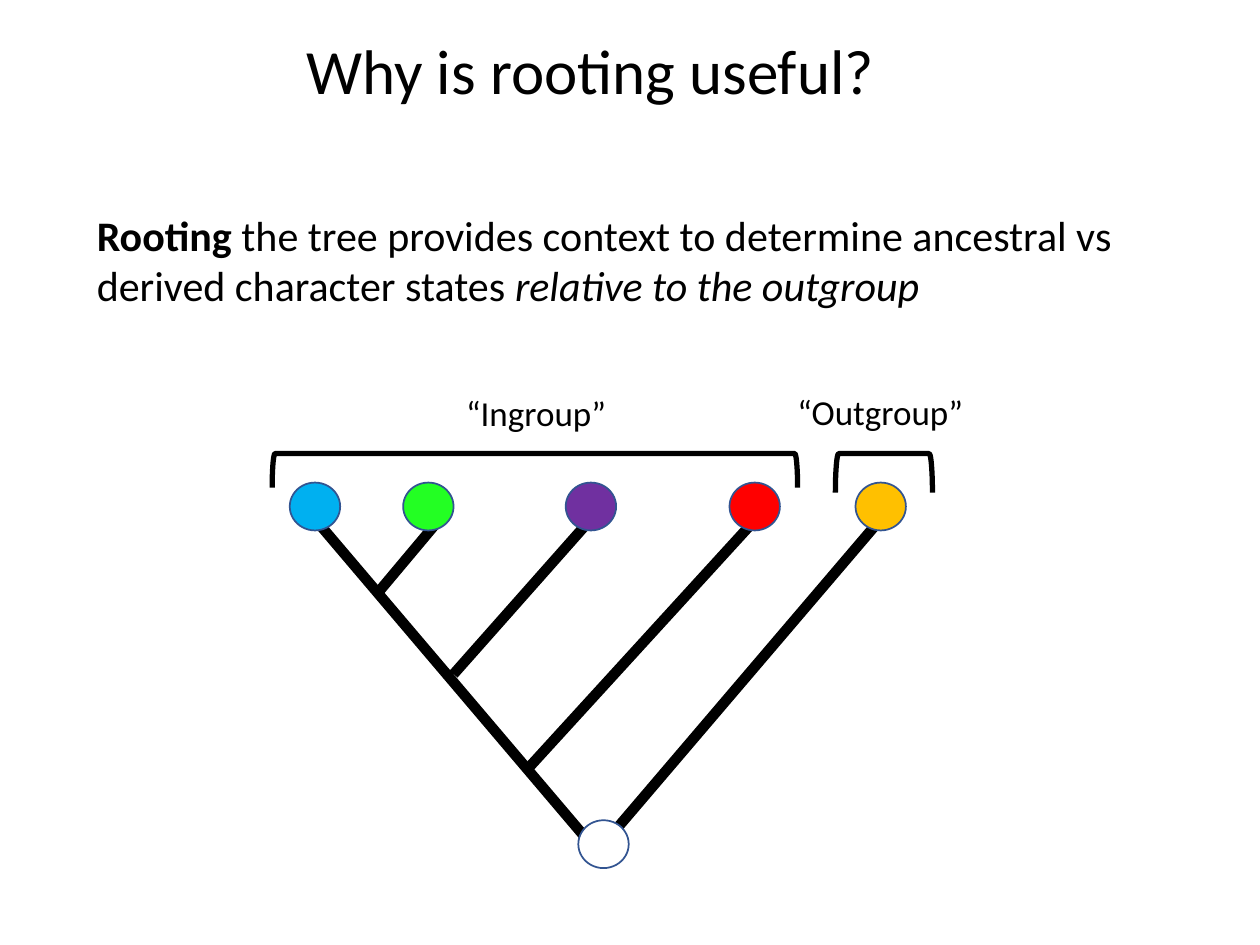
"""Builds a slide that explains rooting with a five-tip tree."""
from lxml.etree import SubElement
from pptx import Presentation
from pptx.dml.color import RGBColor
from pptx.enum.shapes import MSO_CONNECTOR, MSO_SHAPE
from pptx.enum.text import MSO_ANCHOR, PP_ALIGN
from pptx.oxml.ns import qn
from pptx.util import Inches, Pt

COLORS = {
    "ink": "000000", "outline": "325491", "root": "FFFFFF", "blue": "00B0F0",
    "green": "23FF23", "purple": "7030A0", "red": "FF0000", "amber": "FFC000",
}
TITLE = "Why is rooting useful?"
STATEMENT = [
    ("Rooting ", {"bold": True}),
    ("the tree provides context to determine ancestral vs derived character states ", {}),
    ("relative to the outgroup", {"italic": True}),
]
TIP_Y, BRANCH_Y = 4.02, 4.12
ROOT = (4.79, 6.7)
TIPS = [("blue", 2.5), ("green", 3.4), ("purple", 4.69), ("red", 5.99), ("amber", 6.99)]
BRANCHES = [
    ((4.73, 6.77), (6.99, BRANCH_Y)),
    ((4.75, 6.77), (2.5, BRANCH_Y)),
    ((3.02, 4.68), (3.49, BRANCH_Y)),
    ((3.6, 5.35), (4.69, BRANCH_Y)),
    ((4.19, 6.1), (6.09, TIP_Y)),
]
BRACKET_TOP = 3.6
GROUPS = [
    {"label": "“Ingroup”", "label_box": (3.6, 3.06, 1.32, 0.44), "span": (2.16, 6.33), "depth": 0.27},
    {"label": "“Outgroup”", "label_box": (6.23, 3.05, 1.53, 0.44), "span": (6.63, 7.4), "depth": 0.31},
]
NODE_WIDTH, NODE_HEIGHT = 0.4, 0.38


def rgb(color):
    return RGBColor.from_string(COLORS[color])


def place(part, box):
    part.left, part.top, part.width, part.height = map(Inches, box)


def write(part, runs, size, wrap=True, anchor=MSO_ANCHOR.TOP, spacing=1.0):
    frame = part.text_frame
    frame.word_wrap = wrap
    frame.vertical_anchor = anchor
    paragraph = frame.paragraphs[0]
    paragraph.alignment = PP_ALIGN.LEFT
    paragraph.line_spacing = spacing
    for words, style in runs:
        run = paragraph.add_run()
        run.text = words
        run.font.name, run.font.size = "Calibri", Pt(size)
        run.font.color.rgb = rgb("ink")
        run.font.bold = style.get("bold", False)
        run.font.italic = style.get("italic", False)


def add_label(slide, runs, box, **style):
    label = slide.shapes.add_textbox(*map(Inches, box))
    write(label, runs, **style)


def add_branch(slide, start, end):
    branch = slide.shapes.add_connector(MSO_CONNECTOR.STRAIGHT, *map(Inches, start + end))
    branch.line.color.rgb = rgb("ink")
    branch.line.width = Pt(6)
    SubElement(branch._element.spPr, qn("a:effectLst"))


def add_node(slide, color, x, y):
    box = (x - NODE_WIDTH / 2, y - NODE_HEIGHT / 2, NODE_WIDTH, NODE_HEIGHT)
    node = slide.shapes.add_shape(MSO_SHAPE.OVAL, *map(Inches, box))
    node.shadow.inherit = False
    node.fill.solid()
    node.fill.fore_color.rgb = rgb(color)
    node.line.color.rgb = rgb("outline")
    node.line.width = Pt(1)


def add_bracket(slide, span, depth):
    length = span[1] - span[0]
    box = (sum(span) / 2 - depth / 2, BRACKET_TOP + depth / 2 - length / 2, depth, length)
    bracket = slide.shapes.add_shape(MSO_SHAPE.LEFT_BRACKET, *map(Inches, box))
    bracket.rotation = 90
    bracket.shadow.inherit = False
    bracket.fill.background()
    bracket.line.color.rgb = rgb("ink")
    bracket.line.width = Pt(3)


def main():
    deck = Presentation()
    deck.slide_width, deck.slide_height = Inches(10), Inches(7.5)
    slide = deck.slides.add_slide(deck.slide_layouts[5])

    title = slide.shapes.title
    place(title, (2.33, 0, 5.58, 1.18))
    write(title, [(TITLE, {})], size=36, anchor=MSO_ANCHOR.MIDDLE, spacing=0.9)
    add_label(slide, STATEMENT, (0.67, 1.61, 8.52, 0.91), size=24)

    for start, end in BRANCHES:
        add_branch(slide, start, end)
    add_node(slide, "root", *ROOT)
    for color, x in TIPS:
        add_node(slide, color, x, TIP_Y)
    for group in GROUPS:
        add_bracket(slide, group["span"], group["depth"])
        add_label(slide, [(group["label"], {})], group["label_box"], size=20, wrap=False)

    deck.save("out.pptx")


if __name__ == "__main__":
    main()
